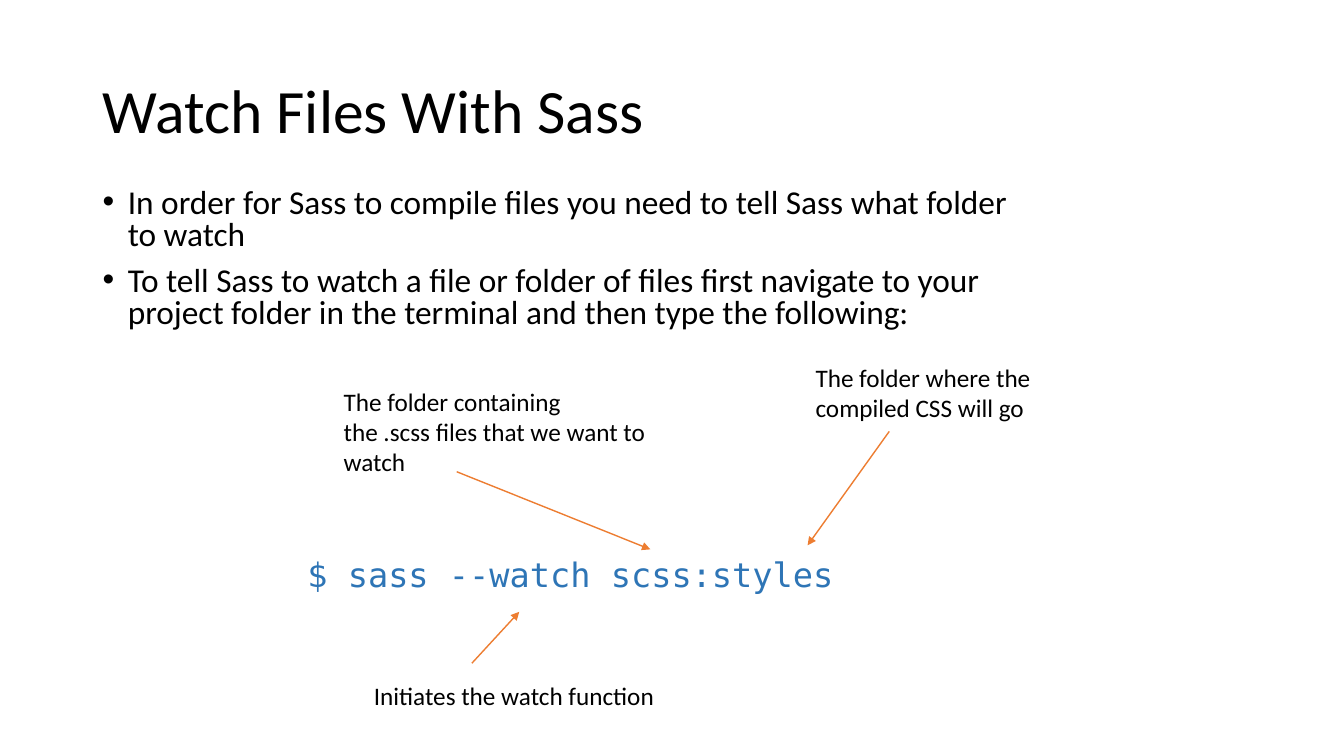
"""Build the slide that explains how Sass watches files."""
from typing import NamedTuple

from lxml import etree
from pptx import Presentation
from pptx.dml.color import RGBColor
from pptx.enum.shapes import MSO_CONNECTOR
from pptx.enum.text import MSO_ANCHOR, MSO_AUTO_SIZE, PP_ALIGN
from pptx.oxml.ns import qn
from pptx.util import Inches, Pt

LINE = MSO_CONNECTOR.STRAIGHT
MIDDLE = MSO_ANCHOR.MIDDLE
FIXED = MSO_AUTO_SIZE.NONE
GROW = MSO_AUTO_SIZE.SHAPE_TO_FIT_TEXT
LEFT = PP_ALIGN.LEFT
SANS = "Calibri"
MONO = "DejaVu Sans Mono"
BLACK = "000000"
BLUE = "2E75B6"
ORANGE = "ED7D31"


class Box(NamedTuple):
    left: float
    top: float
    width: float
    height: float


class Label(NamedTuple):
    text: str
    box: Box
    size: float = 18
    font: str = SANS
    color: str = BLACK
    wrap: bool = True


class Arrow(NamedTuple):
    x1: float
    y1: float
    x2: float
    y2: float


TITLE = "Watch Files With Sass"
TITLE_BOX = Box(0.92, 0.4, 11.5, 1.45)
BODY_BOX = Box(0.92, 1.83, 9.4, 1.76)
POINTS = [
    "In order for Sass to compile files you need to tell Sass what folder to watch",
    "To tell Sass to watch a file or folder of files first navigate to your "
    "project folder in the terminal and then type the following:",
]
LABELS = [
    Label("$ sass --watch scss:styles", Box(2.95, 5.45, 5.59, 0.5), 24, MONO, BLUE),
    Label("Initiates the watch function", Box(3.61, 6.7, 3.08, 0.4), wrap=False),
    Label("The folder containing the\u00a0.scss files that we want to watch",
          Box(3.31, 3.78, 3.22, 1.01)),
    Label("The folder where the compiled CSS will go", Box(7.99, 3.54, 3.22, 0.71)),
]
ARROWS = [
    Arrow(4.68, 6.58, 5.15, 6.07),
    Arrow(4.53, 4.68, 6.45, 5.45),
    Arrow(8.82, 4.28, 8.01, 5.41),
]


def paint(color: str) -> RGBColor:
    """Turn a hex string into a colour."""
    return RGBColor.from_string(color)


def place(box: Box) -> list:
    """Turn a box into four lengths."""
    return [Inches(side) for side in box]


def write(para, text: str, size: float, font: str = SANS, color: str = BLACK) -> None:
    """Add one left-aligned run to a paragraph."""
    para.alignment = LEFT
    run = para.add_run()
    run.text = text
    run.font.size = Pt(size)
    run.font.name = font
    run.font.color.rgb = paint(color)


def add_title(slide) -> None:
    """Move and fill the title placeholder."""
    title = slide.shapes.title
    title.left, title.top, title.width, title.height = place(TITLE_BOX)
    frame = title.text_frame
    frame.auto_size = FIXED
    frame.vertical_anchor = MIDDLE
    para = frame.paragraphs[0]
    para.line_spacing = 0.9
    write(para, TITLE, 44)


def add_body(slide) -> None:
    """Add the bulleted points."""
    frame = slide.shapes.add_textbox(*place(BODY_BOX)).text_frame
    frame.word_wrap = True
    for i, point in enumerate(POINTS):
        para = frame.add_paragraph() if i else frame.paragraphs[0]
        para.line_spacing = 0.8
        para.space_before = Pt(10)
        write(para, point, 23.8)
        props = para._p.get_or_add_pPr()
        props.set("marL", str(Inches(0.25)))
        props.set("indent", str(Inches(-0.25)))
        etree.SubElement(props, qn("a:buFont"), typeface="Arial")
        etree.SubElement(props, qn("a:buChar"), char="•")


def add_label(slide, label: Label) -> None:
    """Add one line of code or one note."""
    frame = slide.shapes.add_textbox(*place(label.box)).text_frame
    frame.word_wrap = label.wrap
    frame.auto_size = GROW
    write(frame.paragraphs[0], label.text, label.size, label.font, label.color)


def add_arrow(slide, arrow: Arrow) -> None:
    """Add one arrow that points at the command."""
    link = slide.shapes.add_connector(LINE, *[Inches(end) for end in arrow])
    link.line.color.rgb = paint(ORANGE)
    link.line.width = Pt(1)
    etree.SubElement(link.line._get_or_add_ln(), qn("a:tailEnd"), type="triangle")
    etree.SubElement(link._element.spPr, qn("a:effectLst"))


def main() -> None:
    """Build and save the deck."""
    deck = Presentation()
    deck.slide_width, deck.slide_height = Inches(13.33), Inches(7.5)
    slide = deck.slides.add_slide(deck.slide_layouts[5])
    add_title(slide)
    add_body(slide)
    for label in LABELS:
        add_label(slide, label)
    for arrow in ARROWS:
        add_arrow(slide, arrow)
    deck.save("out.pptx")


main()
